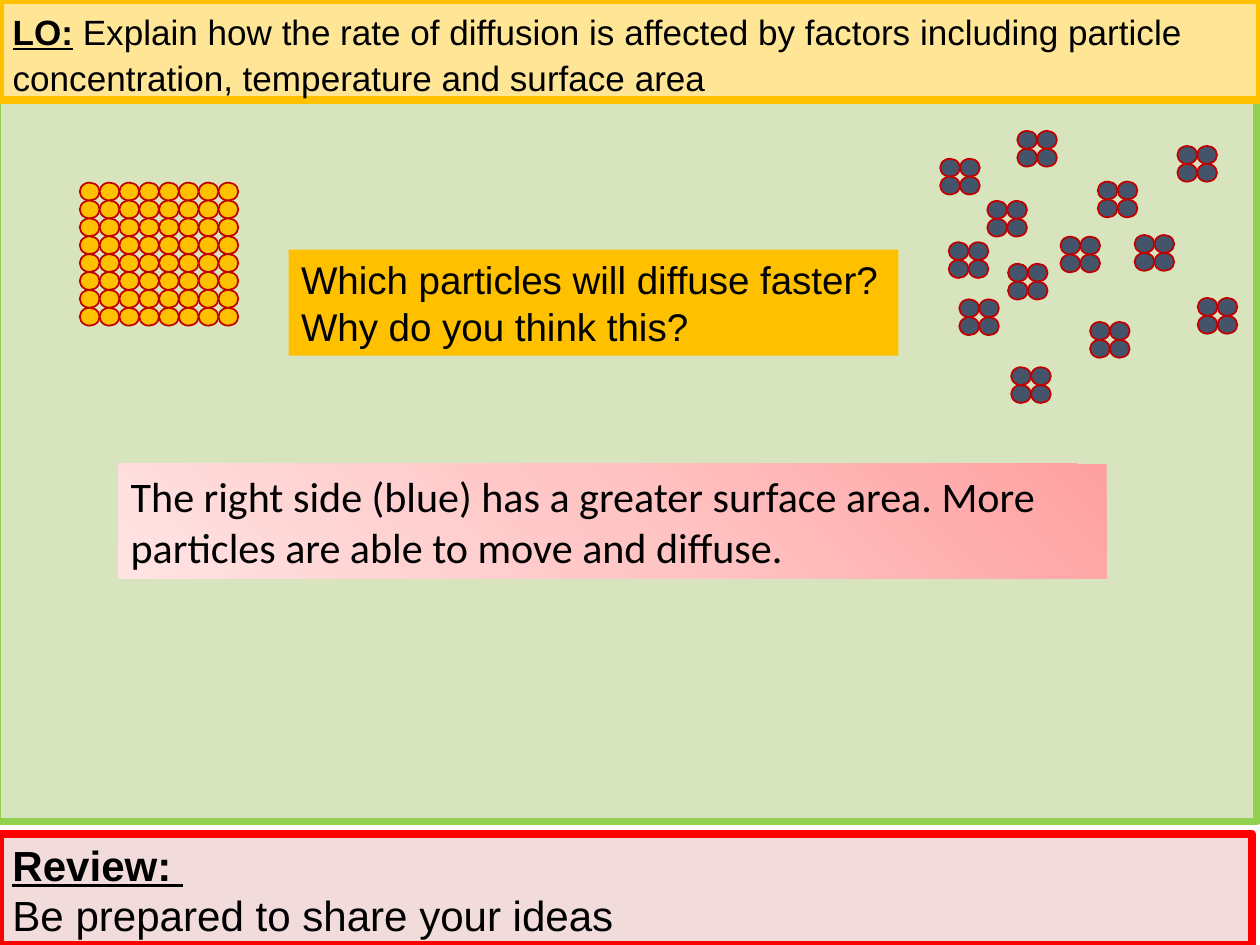
from copy import deepcopy

from pptx import Presentation
from pptx.dml.color import RGBColor
from pptx.enum.shapes import MSO_SHAPE
from pptx.enum.text import MSO_ANCHOR, MSO_AUTO_SIZE, PP_ALIGN
from pptx.oxml.ns import qn
from pptx.util import Pt

RECT, OVAL = MSO_SHAPE.RECTANGLE, MSO_SHAPE.OVAL
TOP, MIDDLE = MSO_ANCHOR.TOP, MSO_ANCHOR.MIDDLE
LEFT, NO_FIT = PP_ALIGN.LEFT, MSO_AUTO_SIZE.NONE

BLACK = RGBColor(0x00, 0x00, 0x00)
GREEN, PALE_GREEN = RGBColor(0x92, 0xD0, 0x50), RGBColor(0xD7, 0xE4, 0xBD)
GOLD, PALE_GOLD = RGBColor(0xFF, 0xC0, 0x00), RGBColor(0xFF, 0xE6, 0x97)
RED, PALE_RED = RGBColor(0xFF, 0x00, 0x00), RGBColor(0xF2, 0xDC, 0xDB)
SLATE, DARK_RED = RGBColor(0x44, 0x54, 0x6A), RGBColor(0xC0, 0x00, 0x00)
PINKS = [RGBColor(0xFF, 0xA0, 0xA0), RGBColor(0xFF, 0xC5, 0xC5), RGBColor(0xFF, 0xE3, 0xE3)]

# Content: each text is a list of paragraphs, each paragraph a list of (text, extra format)
HEAD = {"bold": True, "underline": True}
OBJECTIVE = [[("LO:", HEAD), (" ", {"bold": True}),
              ("Explain how the rate of diffusion is affected by factors including "
               "particle concentration, temperature and surface area", {})]]
REVIEW = [[("Review: ", HEAD)], [("Be prepared to share your ideas", {})]]
QUESTION = [[("Which particles will diffuse faster?", {})], [("Why do you think this?", {})]]
ANSWER = [[("The right side (blue) has a greater surface area. "
            "More particles are able to move and diffuse.", {})]]

# Boxes: left, top, width, height
SLIDE_W, SLIDE_H = 718.75, 539.13
PANEL_BOX = (-1.75, 56.9, SLIDE_W, 411.8)
OBJECTIVE_BOX = (0, 0, SLIDE_W, 56.9)
REVIEW_BOX = (0, 475.7, 714.2, 63.4)
QUESTION_BOX = (164.7, 142.4, 347.8, 60.5)
ANSWER_BOX = (67.5, 264.7, 563.8, 65.4)

# Particles: size, spacing and the top left corner of each block
PARTICLE_W, PARTICLE_H = 11.3, 10.2
STEP_X, STEP_Y = 11.3, 10.2
GOLD_BLOCK = (45.5, 104.2)
BLUE_BLOCKS = [(547.2, 170.8), (575, 150.5), (563.2, 114.6), (536.3, 90.6), (580.3, 74.7),
               (626.2, 103.6), (541.2, 138.2), (647.2, 134.1), (604.9, 135), (671.6, 83.3),
               (621.8, 183.7), (683.2, 170), (576.8, 209.5)]


def place(shape, box):
    for name, value in zip(("left", "top", "width", "height"), box):
        setattr(shape, name, Pt(value))


def paint(shape, fill, line=None, weight=4.5):
    shape.shadow.inherit = False
    shape.fill.solid()
    shape.fill.fore_color.rgb = fill
    if line is None:
        shape.line.fill.background()
    else:
        shape.line.color.rgb = line
        shape.line.width = Pt(weight)


def write(shape, paragraphs, size, font="Arial", spacing=1.0, anchor=MIDDLE):
    tf = shape.text_frame
    frame = {"word_wrap": True, "auto_size": NO_FIT, "vertical_anchor": anchor,
             "margin_left": Pt(7.2), "margin_right": Pt(7.2),
             "margin_top": Pt(3.6), "margin_bottom": Pt(3.6)}
    for name, value in frame.items():
        setattr(tf, name, value)
    for i, runs in enumerate(paragraphs):
        p = tf.add_paragraph() if i else tf.paragraphs[0]
        p.alignment, p.line_spacing = LEFT, spacing
        for text, extra in runs:
            r = p.add_run()
            r.text = text
            for name, value in {"name": font, "size": Pt(size), "bold": False, **extra}.items():
                setattr(r.font, name, value)
            r.font.color.rgb = BLACK


def add_box(s, box, fill, line=None):
    sp = s.shapes.add_shape(RECT, *map(Pt, box))
    paint(sp, fill, line)
    return sp


def add_particles(s, corner, count, fill):
    """Draw a square group of count by count particles."""
    group = s.shapes.add_group_shape()
    for row in range(count):
        for col in range(count):
            box = (corner[0] + col * STEP_X, corner[1] + row * STEP_Y, PARTICLE_W, PARTICLE_H)
            paint(group.shapes.add_shape(OVAL, *map(Pt, box)), fill, DARK_RED, 1)


def shade(sp, colors):
    """Blend the colours from the top right to the bottom left."""
    sp.fill.gradient()
    sp.fill.gradient_angle = 225
    gs_list = sp.element.find(".//" + qn("a:gsLst"))
    gs_list.insert(1, deepcopy(gs_list[0]))
    for i, (stop, color) in enumerate(zip(sp.fill.gradient_stops, colors)):
        stop.color.rgb = color
        stop.position = i / (len(colors) - 1)


def main():
    prs = Presentation()
    prs.slide_width, prs.slide_height = Pt(SLIDE_W), Pt(SLIDE_H)
    s = prs.slides.add_slide(prs.slide_layouts[5])

    # Green panel, behind the learning objective
    panel = add_box(s, PANEL_BOX, PALE_GREEN, GREEN)
    title = s.shapes.title
    title.element.addprevious(panel.element)
    place(title, OBJECTIVE_BOX)
    paint(title, PALE_GOLD, GOLD)
    write(title, OBJECTIVE, 20, spacing=1.1, anchor=TOP)

    # Review, question and answer
    write(add_box(s, REVIEW_BOX, PALE_RED, RED), REVIEW, 24)
    write(add_box(s, QUESTION_BOX, GOLD), QUESTION, 22)
    answer = add_box(s, ANSWER_BOX, PINKS[0])
    shade(answer, PINKS)
    write(answer, ANSWER, 24, "Calibri")

    # One large block against many small ones
    add_particles(s, GOLD_BLOCK, 8, GOLD)
    for corner in BLUE_BLOCKS:
        add_particles(s, corner, 2, SLATE)

    prs.save("out.pptx")


if __name__ == "__main__":
    main()
